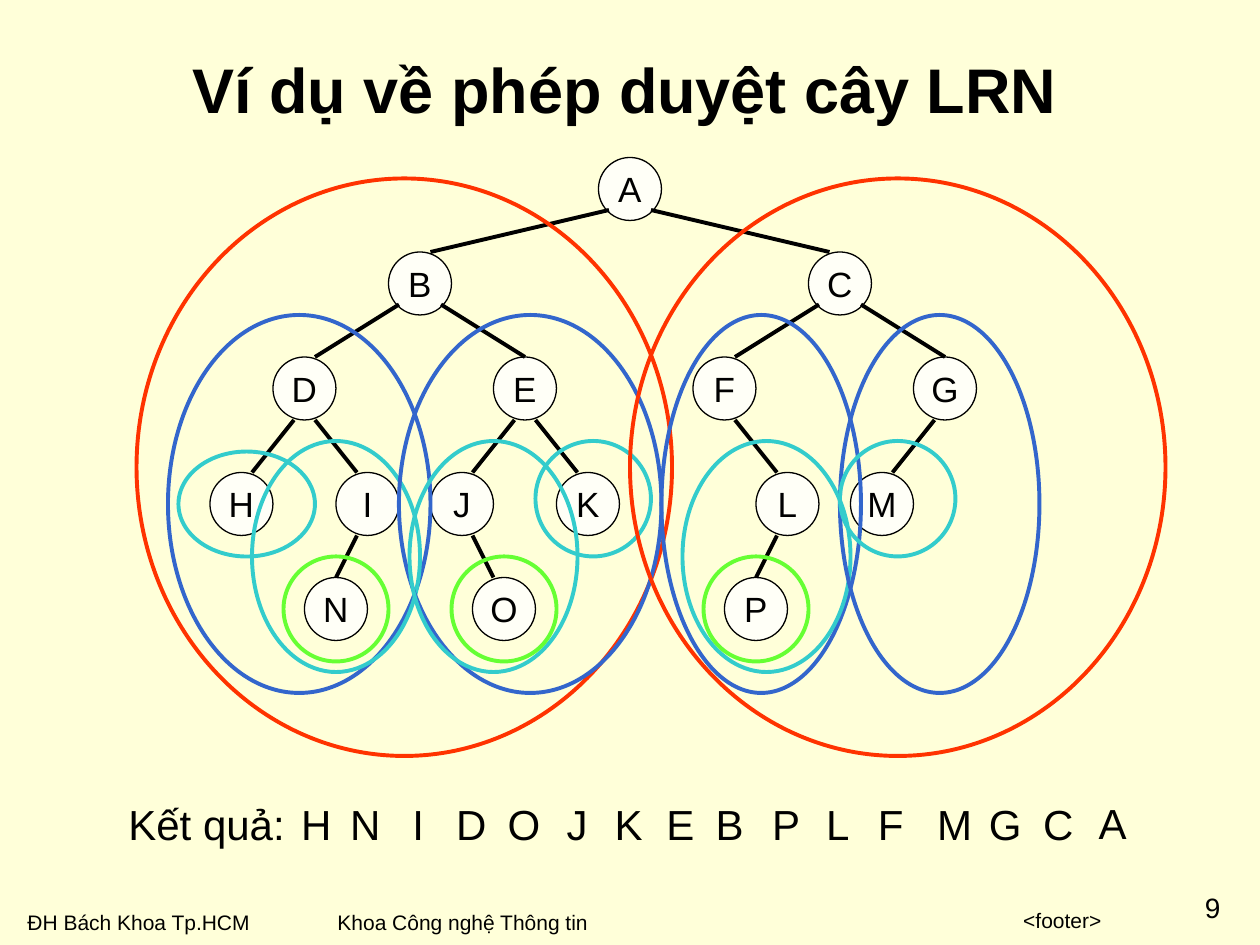
import pptx
import pptx.dml.color
import pptx.enum.shapes
import pptx.enum.text
import pptx.oxml
import pptx.util
from pptx.oxml.ns import qn

COLORS = {"background": "FFFFD9", "ink": "000000", "node": "FFFFF7"}
LOOP_COLORS = [None, "FF3300", "3366CC", "33CCCC", "66FF33"]  # by tree level
ALIGN = pptx.enum.text.PP_ALIGN
ANCHOR = pptx.enum.text.MSO_ANCHOR

# The tree sits on a grid of twelve units to the inch.
UNIT = 1 / 12
NODE_SIZE = 6
LEVEL_TOPS = [15, 24, 34, 45, 55]

# name: (level, centre column, parent)
TREE = {
    "A": (0, 60, None),
    "B": (1, 40, "A"), "D": (2, 29, "B"), "H": (3, 23, "D"),
    "I": (3, 35, "D"), "N": (4, 32, "I"),
    "E": (2, 50, "B"), "J": (3, 44, "E"), "O": (4, 48, "J"),
    "K": (3, 56, "E"),
    "C": (1, 80, "A"), "F": (2, 69, "C"), "L": (3, 75, "F"),
    "P": (4, 72, "L"), "G": (2, 90, "C"), "M": (3, 84, "G"),
}
ENTERED_AT_CENTRE = "ENGP"

# Loop around each subtree: left, top, width, height in grid units
LOOPS = {
    "B": (13, 17, 51, 55), "D": (16, 30, 25, 36), "H": (17, 43, 13, 10),
    "I": (24, 42, 16, 22), "N": (27, 53, 10, 10), "E": (38, 30, 25, 36),
    "J": (39, 42, 16, 22), "O": (43, 53, 10, 10), "K": (51, 42, 11, 11),
    "C": (60, 17, 51, 55), "F": (63, 30, 19, 36), "L": (65, 42, 16, 22),
    "P": (67, 53, 10, 10), "G": (80, 30, 19, 36), "M": (80, 42, 11, 11),
}

# Visit order with the centre of each letter, in inches
RESULT = [
    ("Kết quả:", 1.64), ("H", 2.51), ("N", 2.9), ("I", 3.32), ("D", 3.74),
    ("O", 4.15), ("J", 4.58), ("K", 4.99), ("E", 5.4), ("B", 5.79),
    ("P", 6.24), ("L", 6.65), ("F", 7.07), ("M", 7.56), ("G", 7.97),
    ("C", 8.4), ("A", 8.83),
]

# text, box in inches, size, alignment, margins, wrap
FOOTERS = [
    ("ĐH Bách Khoa Tp.HCM", (0.12, 7.17, 1.97, 0.3), 12, ALIGN.LEFT, (0.1, 0.05), False),
    ("<footer>", (3.17, 7.15, 5.67, 0.3), 12, ALIGN.RIGHT, (0.1, 0.05), True),
    ("9", (9.41, 7.07, 0.43, 0.27), 16, ALIGN.CENTER, (0, 0), True),
    ("Khoa Công nghệ Thông tin", (2.58, 7.17, 2.19, 0.3), 12, ALIGN.LEFT, (0.1, 0.05), False),
]


def rgb(value):
    return pptx.dml.color.RGBColor.from_string(value)


def inches(*values):
    return [pptx.util.Inches(value) for value in values]


def units(*values):
    return inches(*(value * UNIT for value in values))


def write(shape, text, size, align=ALIGN.CENTER, anchor=ANCHOR.TOP,
          margins=(0.1, 0.05), wrap=False, bold=False):
    frame = shape.text_frame
    frame.word_wrap = wrap
    frame.vertical_anchor = anchor
    frame.margin_left = frame.margin_right = pptx.util.Inches(margins[0])
    frame.margin_top = frame.margin_bottom = pptx.util.Inches(margins[1])
    paragraph = frame.paragraphs[0]
    paragraph.alignment = align
    run = paragraph.add_run()
    run.text = text
    run.font.name = "Arial"
    run.font.size = pptx.util.Pt(size)
    run.font.bold = bold
    run.font.color.rgb = rgb(COLORS["ink"])


def add_ellipse(slide, box, line, width, fill=None):
    ellipse = slide.shapes.add_shape(
        pptx.enum.shapes.MSO_SHAPE.OVAL, *units(*box))
    ellipse.shadow.inherit = False
    if fill:
        ellipse.fill.solid()
        ellipse.fill.fore_color.rgb = rgb(fill)
    else:
        ellipse.fill.background()
    ellipse.line.color.rgb = rgb(line)
    ellipse.line.width = pptx.util.Pt(width)
    return ellipse


def add_branch(slide, child):
    """Join a node to its parent, leaning towards each other."""
    level, column, parent = TREE[child]
    parent_level, parent_column, _ = TREE[parent]
    side = 1 if column > parent_column else -1
    spread, drop = (2, 5) if parent_level < 2 else (1, NODE_SIZE)
    entry = 0 if child in ENTERED_AT_CENTRE else side
    branch = slide.shapes.add_connector(
        pptx.enum.shapes.MSO_CONNECTOR.STRAIGHT,
        *units(parent_column + side * spread, LEVEL_TOPS[parent_level] + drop,
               column - entry, LEVEL_TOPS[level]))
    branch.line.color.rgb = rgb(COLORS["ink"])
    branch.line.width = pptx.util.Pt(2.25)
    properties = branch._element.spPr
    properties.append(pptx.oxml.xmlchemy.OxmlElement("a:effectLst"))


def main():
    deck = pptx.Presentation()
    deck.slide_width, deck.slide_height = inches(10, 7.5)
    slide = deck.slides.add_slide(deck.slide_layouts[5])
    slide.background.fill.solid()
    slide.background.fill.fore_color.rgb = rgb(COLORS["background"])

    for text, box, size, align, margins, wrap in FOOTERS:
        write(slide.shapes.add_textbox(*inches(*box)), text, size,
              align=align, margins=margins, wrap=wrap)

    title = slide.shapes.title
    title.left, title.top, title.width, title.height = inches(0.92, 0.08, 8.08, 1.25)
    write(title, "Ví dụ về phép duyệt cây LRN", 36, anchor=ANCHOR.MIDDLE,
          wrap=True, bold=True)

    for name, (level, column, parent) in TREE.items():
        box = (column - NODE_SIZE / 2, LEVEL_TOPS[level], NODE_SIZE, NODE_SIZE)
        node = add_ellipse(slide, box, COLORS["ink"], 0.75, COLORS["node"])
        write(node, name, 20, anchor=ANCHOR.MIDDLE)
        if parent:
            add_branch(slide, name)

    for name, box in LOOPS.items():
        add_ellipse(slide, box, LOOP_COLORS[TREE[name][0]], 2.25)

    for text, centre in RESULT:
        width = 0.44 if len(text) == 1 else 1.44
        top = 6.28 if text == "A" else 6.29
        box = inches(centre - width / 2, top, width, 0.5)
        write(slide.shapes.add_textbox(*box), text, 24)

    deck.save("out.pptx")


if __name__ == "__main__":
    main()
